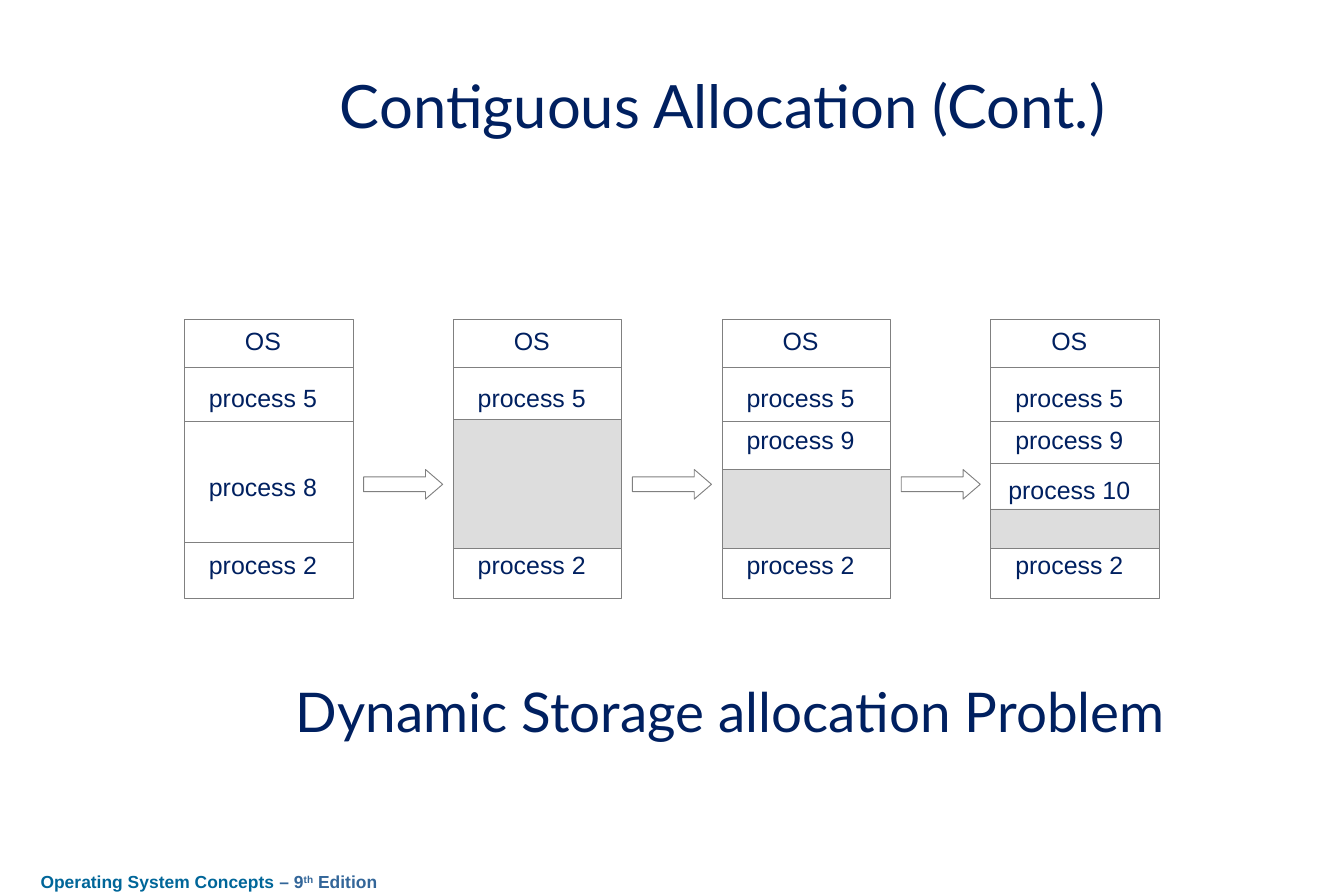
"""Build a slide showing contiguous memory allocation over four stages."""
from pptx import Presentation
from pptx.dml.color import RGBColor
from pptx.enum.shapes import MSO_CONNECTOR as Connector, MSO_SHAPE as Shape
from pptx.enum.text import MSO_ANCHOR as Anchor, MSO_AUTO_SIZE as AutoSize, PP_ALIGN as Align
from pptx.oxml.ns import qn
from pptx.util import Cm, Pt
from lxml.etree import SubElement

NAVY = RGBColor(0x00, 0x20, 0x60)
TEAL = RGBColor(0x00, 0x66, 0x99)
STEEL = RGBColor(0x33, 0x66, 0x99)
GRAY = RGBColor(0x80, 0x80, 0x80)
HOLE = RGBColor(0xDD, 0xDD, 0xDD)
WHITE = RGBColor(0xFF, 0xFF, 0xFF)

TITLE = "Contiguous Allocation (Cont.)"
CAPTION = "Dynamic Storage allocation Problem"
FOOTER = [("Operating System Concepts", TEAL, 0), (" – 9", STEEL, 0),
          ("th", STEEL, 30000), (" Edition", STEEL, 0)]

COMMON_LABELS = [("OS", 9.04), ("process 5", 10.67), ("process 2", 15.39)]
COMMON_DIVIDERS = [10.41, 11.94, 15.39]
STAGES = [
    {"labels": [("process 8", 13.18)], "dividers": [], "hole": None},
    {"labels": [], "dividers": [], "hole": 11.89},
    {"labels": [("process 9", 11.84)], "dividers": [], "hole": 13.31},
    {"labels": [("process 9", 11.84), ("process 10", 13.26)],
     "dividers": [13.13], "hole": 14.43},
]

FIRST_LEFT, PITCH = 5.23, 7.62
MEMORY_TOP, MEMORY_WIDTH, MEMORY_HEIGHT = 9.07, 4.78, 7.9
HOLE_BOTTOM = 15.56
LABEL_WIDTH, LABEL_HEIGHT = 4.45, 1.22
ARROW_TOP, ARROW_WIDTH, ARROW_HEIGHT = 13.31, 2.24, 0.84
FRAME = {"margin_left": Cm(0.36), "margin_right": Cm(0.36), "margin_top": Cm(0.18),
         "margin_bottom": Cm(0.18), "vertical_anchor": Anchor.MIDDLE,
         "auto_size": AutoSize.NONE, "word_wrap": True}


def apply(target, values):
    for name, value in values.items():
        setattr(target, name, value)


def place(left, top, width, height):
    return [Cm(length) for length in (left, top, width, height)]


def add_span(para, text, font, size, color, bold=False):
    span = para.add_run()
    span.text = text
    apply(span.font, {"name": font, "size": Pt(size), "bold": bold})
    span.font.color.rgb = color
    return span


def write_line(box, text, font, size):
    apply(box.text_frame, FRAME)
    para = box.text_frame.paragraphs[0]
    para.alignment = Align.CENTER
    add_span(para, text, font, size, NAVY)


def add_outlined(page, kind, area, fill):
    shape = page.shapes.add_shape(kind, *place(*area))
    shape.shadow.inherit = False
    shape.fill.solid()
    shape.fill.fore_color.rgb = fill
    shape.line.color.rgb = GRAY
    shape.line.width = Pt(0.75)
    return shape


def add_divider(page, left, top):
    line = page.shapes.add_connector(Connector.STRAIGHT, Cm(left), Cm(top),
                                     Cm(left + MEMORY_WIDTH), Cm(top))
    line.line.color.rgb = GRAY
    line.line.width = Pt(0.75)
    SubElement(line._element.spPr, qn("a:effectLst"))


def add_stage(page, left, stage):
    add_outlined(page, Shape.RECTANGLE,
                 (left, MEMORY_TOP, MEMORY_WIDTH, MEMORY_HEIGHT), WHITE)
    for top in COMMON_DIVIDERS + stage["dividers"]:
        add_divider(page, left, top)
    if stage["hole"]:
        add_outlined(page, Shape.RECTANGLE,
                     (left, stage["hole"], MEMORY_WIDTH, HOLE_BOTTOM - stage["hole"]), HOLE)
    for text, top in COMMON_LABELS + stage["labels"]:
        box = page.shapes.add_textbox(*place(left, top, LABEL_WIDTH, LABEL_HEIGHT))
        write_line(box, text, "Arial", 20)


def add_footer(page):
    box = page.shapes.add_textbox(*place(0.79, 24.51, 10.36, 0.97))
    apply(box.text_frame, {**FRAME, "word_wrap": False})
    para = box.text_frame.paragraphs[0]
    for text, color, baseline in FOOTER:
        span = add_span(para, text, "Arial", 14, color, bold=True)
        if baseline:
            span._r.get_or_add_rPr().set("baseline", str(baseline))


def main():
    deck = Presentation()
    apply(deck, {"slide_width": Cm(38.1), "slide_height": Cm(25.4)})
    page = deck.slides.add_slide(deck.slide_layouts[5])

    title = page.shapes.title
    apply(title, dict(zip(("left", "top", "width", "height"),
                          place(4.29, 1.9, 32.39, 2.13))))
    write_line(title, TITLE, "Lato", 48)

    for index, stage in enumerate(STAGES):
        left = FIRST_LEFT + index * PITCH
        add_stage(page, left, stage)
        if index:
            gap = PITCH - MEMORY_WIDTH
            arrow_left = left - (gap + ARROW_WIDTH) / 2
            arrow = add_outlined(page, Shape.RIGHT_ARROW,
                                 (arrow_left, ARROW_TOP, ARROW_WIDTH, ARROW_HEIGHT), WHITE)
            arrow.adjustments[1] = 0.58

    caption = page.shapes.add_textbox(*place(4.52, 19.08, 32.39, 2.13))
    write_line(caption, CAPTION, "Lato", 44)
    add_footer(page)
    deck.save("out.pptx")


if __name__ == "__main__":
    main()
